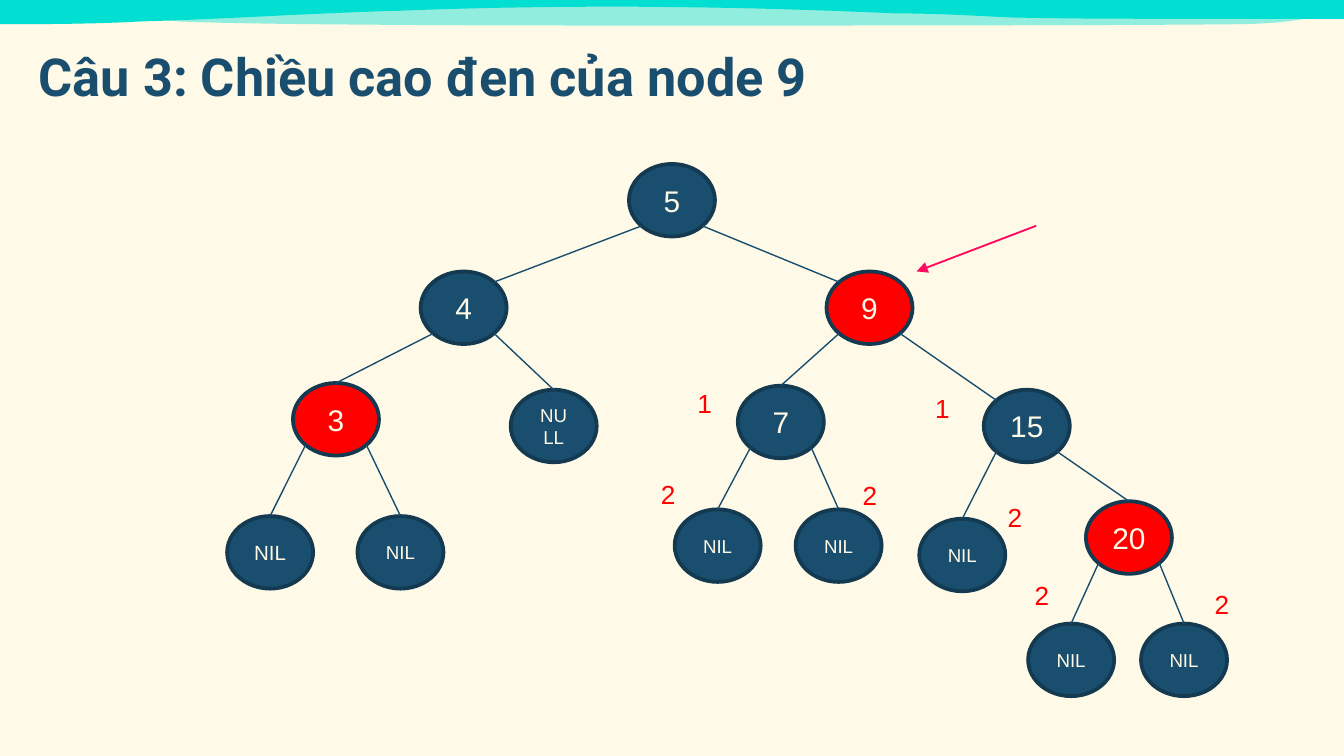
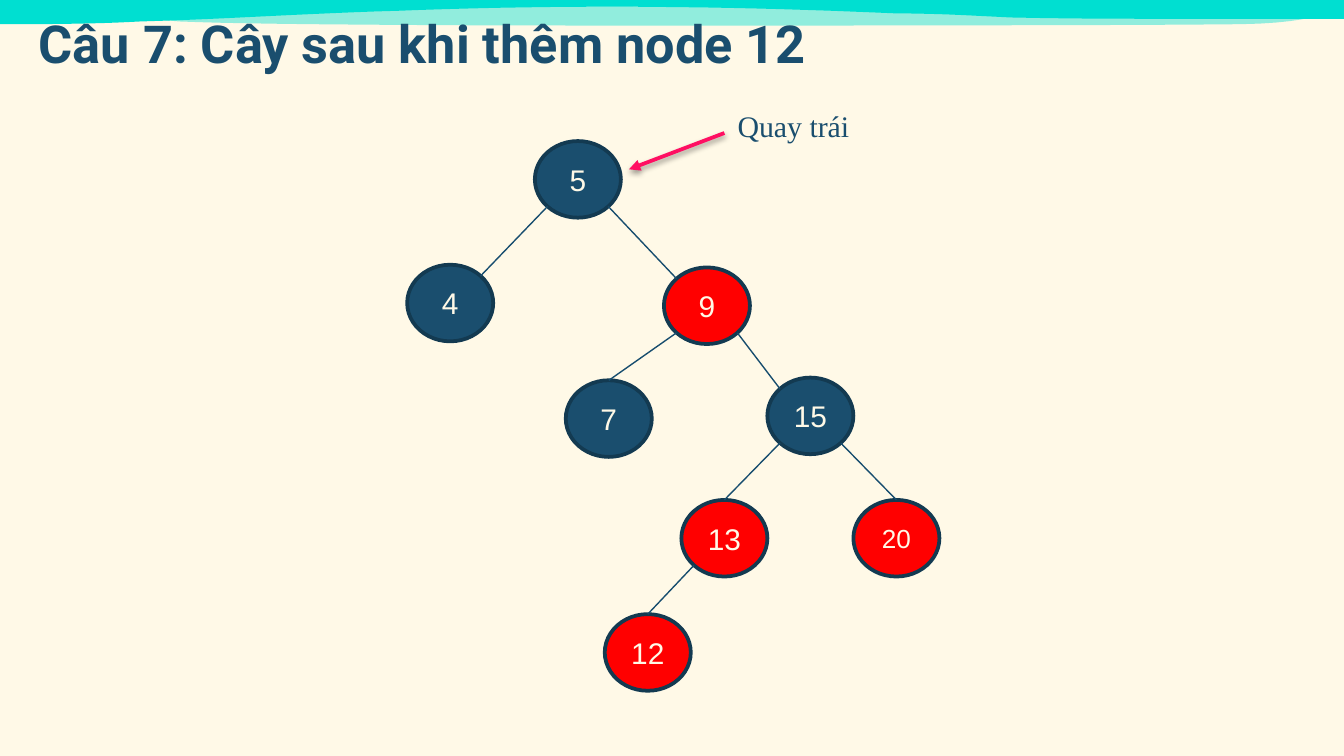
"""Build two slides on red-black trees."""
from math import sqrt

from lxml import etree
from pptx import Presentation
from pptx import util as u
from pptx.dml.color import RGBColor
from pptx.enum import shapes, text
from pptx.oxml.ns import qn

CREAM, NAVY, OUTLINE, EDGE = "FFF9E7", "1A4E6E", "133A51", "174D6E"
RED, TEAL = "FF0000", "00DFD1"
SLIDE_WIDTH, NODE_WIDTH = 10, 0.64

WAVE = [
    [(0, 0.18)],
    [(0.3, 0.18), (0.7, 0.18), (1.04, 0.16)],
    [(1.74, 0.14), (2.26, 0.1), (2.97, 0.08)],
    [(3.5, 0.06), (4, 0.05), (4.53, 0.05)],
    [(5.3, 0.05), (6, 0.07), (6.67, 0.1)],
    [(7, 0.1), (7.3, 0.12), (7.52, 0.13)],
    [(7.94, 0.14), (8.4, 0.14), (8.86, 0.14)],
    [(10, 0.14)], [(10, 0)], [(0, 0)],
]
RIPPLE = [
    [(0.98, 0.04)], [(9.93, 0.06)],
    [(9.93, 0.06), (9.84, 0.17), (9.23, 0.18)],
    [(8.22, 0.19), (6.29, 0.19), (4.58, 0.19)],
    [(3.12, 0.19), (1.81, 0.18), (1.34, 0.16)],
    [(0.88, 0.13), (0.98, 0.04), (0.98, 0.04)],
]

# label, left, top, fill, parent, joint on the child, text size
BLACK_HEIGHT_TREE = [
    ("5", 4.68, 1.22, NAVY, None, None, 16),
    ("4", 3.13, 2.02, NAVY, "5", "corner", 16),
    ("9", 6.15, 2.02, RED, "5", "corner", 16),
    ("3", 2.18, 2.85, RED, "4", "top", 16),
    ("NULL", 3.8, 2.9, NAVY, "4", "top", 10),
    ("7", 5.49, 2.87, NAVY, "9", "top", 16),
    ("15", 7.32, 2.9, NAVY, "9", "corner", 16),
    ("20", 8.08, 3.73, RED, "15", "top", 16),
    ("NIL", 1.69, 3.84, NAVY, "3", "top", 11),
    ("NIL", 2.66, 3.84, NAVY, "3", "top", 10),
    ("NIL", 5.02, 3.79, NAVY, "7", "top", 10),
    ("NIL", 5.92, 3.79, NAVY, "7", "top", 10),
    ("NIL", 6.84, 3.86, NAVY, "15", "top", 10),
    ("NIL", 7.65, 4.64, NAVY, "20", "top", 10),
    ("NIL", 8.49, 4.64, NAVY, "20", "top", 10),
]
BLACK_COUNTS = [
    ("1", 5.09, 2.83), ("1", 6.86, 2.87), ("2", 4.82, 3.51), ("2", 6.32, 3.52),
    ("2", 7.4, 3.68), ("2", 8.94, 4.33), ("2", 7.6, 4.26),
]
INSERTED_TREE = [
    ("5", 3.98, 1.05, NAVY, None, None, 16),
    ("4", 3.03, 1.97, NAVY, "5", "corner", 16),
    ("9", 4.94, 1.99, RED, "5", "corner", 16),
    ("7", 4.21, 2.83, NAVY, "9", "top", 16),
    ("15", 5.71, 2.81, NAVY, "9", "corner", 16),
    ("13", 5.07, 3.72, RED, "15", "top", 16),
    ("20", 6.35, 3.72, RED, "15", "top", 14),
    ("12", 4.5, 4.57, RED, "13", "top", 16),
]


def colour(value):
    """Return the colour of a hex string."""
    return RGBColor.from_string(value)


def inches(*values):
    """Return all values as lengths."""
    return [u.Inches(value) for value in values]


def write(shape, content, size=16, font="Arial", ink=CREAM, bold=False,
          align=text.PP_ALIGN.LEFT, anchor=text.MSO_ANCHOR.TOP, inset=None):
    """Put formatted text into a shape."""
    frame = shape.text_frame
    frame.word_wrap = True
    frame.vertical_anchor = anchor
    if inset is not None:
        frame.margin_left = frame.margin_right = u.Inches(inset)
        frame.margin_top = frame.margin_bottom = u.Inches(inset)
    paragraph = frame.paragraphs[0]
    paragraph.alignment = align
    run = paragraph.add_run()
    run.text = content
    run.font.size = u.Pt(size)
    run.font.name = font
    run.font.bold = bold
    run.font.color.rgb = colour(ink)


def trace(segments, steps=12):
    """Turn points and cubic curves into a list of points."""
    points = []
    for segment in segments:
        if len(segment) == 1:
            points += segment
            continue
        controls = [points[-1], *segment]
        for step in range(1, steps + 1):
            t = step / steps
            weights = ((1 - t) ** 3, 3 * t * (1 - t) ** 2, 3 * t * t * (1 - t), t ** 3)
            points.append(tuple(
                sum(weight * point[axis] for weight, point in zip(weights, controls))
                for axis in (0, 1)))
    return points


class Deck:
    """Hold the style and the current slide."""

    def __init__(self):
        """Set the slide size and the background."""
        self.presentation = Presentation()
        self.presentation.slide_width = u.Inches(SLIDE_WIDTH)
        self.presentation.slide_height = u.Inches(SLIDE_WIDTH * 9 / 16)
        self.layout = self.presentation.slide_layouts[6]
        for placeholder in list(self.layout.placeholders):
            self.layout.shapes.element.remove(placeholder.element)
        fill = self.layout.background.fill
        fill.solid()
        fill.fore_color.rgb = colour(CREAM)
        self.slide = None

    def add_slide(self, title, top, height):
        """Start a slide with its title; the first one also fills the layout."""
        first = self.slide is None
        self.slide = self.presentation.slides.add_slide(self.layout)
        if first:
            for wave in (self.wave(WAVE), self.wave(RIPPLE, 43)):
                self.layout.shapes.element.append(wave.element)
        self.label(title, 0.19, top, 9.49, height, size=28, font="Roboto", ink=NAVY,
                   bold=True, anchor=text.MSO_ANCHOR.BOTTOM, inset=0.1)

    def wave(self, segments, opacity=100):
        """Draw one filled wave."""
        start, *others = [inches(*point) for point in trace(segments)]
        builder = self.slide.shapes.build_freeform(*start)
        builder.add_line_segments(others, close=True)
        shape = builder.convert_to_shape()
        shape.shadow.inherit = False
        shape.fill.solid()
        shape.fill.fore_color.rgb = colour(TEAL)
        shape.line.fill.background()
        if opacity < 100:
            tint = shape.element.spPr.find(".//" + qn("a:srgbClr"))
            etree.SubElement(tint, qn("a:alpha"), val=str(opacity * 1000))
        return shape

    def label(self, content, left, top, width, height, **style):
        """Add a text box."""
        box = self.slide.shapes.add_textbox(*inches(left, top, width, height))
        write(box, content, **style)

    def node(self, content, left, top, height, fill, size):
        """Draw one tree node."""
        shape = self.slide.shapes.add_shape(
            shapes.MSO_SHAPE.OVAL, *inches(left, top, NODE_WIDTH, height))
        shape.shadow.inherit = False
        shape.fill.solid()
        shape.fill.fore_color.rgb = colour(fill)
        shape.line.color.rgb = colour(OUTLINE)
        shape.line.width = u.Pt(2)
        write(shape, content, size=size, align=text.PP_ALIGN.CENTER,
              anchor=text.MSO_ANCHOR.MIDDLE)

    def line(self, start, end, ink=EDGE, width=0.75, arrow=False, shadow=False):
        """Draw a straight line, with an arrowhead or a shadow if wanted."""
        connector = self.slide.shapes.add_connector(
            shapes.MSO_CONNECTOR.STRAIGHT, *inches(*start, *end))
        connector.line.color.rgb = colour(ink)
        connector.line.width = u.Pt(width)
        if arrow:
            etree.SubElement(connector.get_or_add_ln(), qn("a:tailEnd"), type="triangle")
        effects = etree.SubElement(connector.element.spPr, qn("a:effectLst"))
        if shadow:
            outer = etree.SubElement(
                effects, qn("a:outerShdw"), blurRad=str(u.Pt(3.1)), dist=str(u.Pt(1.6)),
                dir="5400000", rotWithShape="0")
            black = etree.SubElement(outer, qn("a:srgbClr"), val="000000")
            etree.SubElement(black, qn("a:alpha"), val="38000")

    def tree(self, nodes, height):
        """Draw nodes and join each one to its parent."""
        reach_x, reach_y = NODE_WIDTH / 2 / sqrt(2), height / 2 / sqrt(2)
        centres = {}
        for content, left, top, fill, parent, joint, size in nodes:
            self.node(content, left, top, height, fill, size)
            x, y = centres[content] = left + NODE_WIDTH / 2, top + height / 2
            if parent is None:
                continue
            parent_x, parent_y = centres[parent]
            side = 1 if x > parent_x else -1
            end = (x, top) if joint == "top" else (x - side * reach_x, y - reach_y)
            self.line((parent_x + side * reach_x, parent_y + reach_y), end)


def main():
    """Build and save the presentation."""
    deck = Deck()

    deck.add_slide("Câu 3: Chiều cao đen của node 9", 0, 0.9)
    deck.tree(BLACK_HEIGHT_TREE, 0.54)
    deck.line((7.71, 1.68), (6.82, 2.02), ink="FF095E", width=1, arrow=True)
    for count, left, top in BLACK_COUNTS:
        deck.label(count, left, top, 0.4, 0.34, size=14, ink=RED)

    deck.add_slide("Câu 7: Cây sau khi thêm node 12", -0.04, 0.69)
    deck.tree(INSERTED_TREE, 0.57)
    deck.line((5.39, 0.99), (4.68, 1.26), ink="FF0F62", width=2, arrow=True, shadow=True)
    deck.label("Quay trái", 5.39, 0.75, 1.43, 0.37, font="Times New Roman", ink=NAVY)

    deck.presentation.save("out.pptx")


if __name__ == "__main__":
    main()
